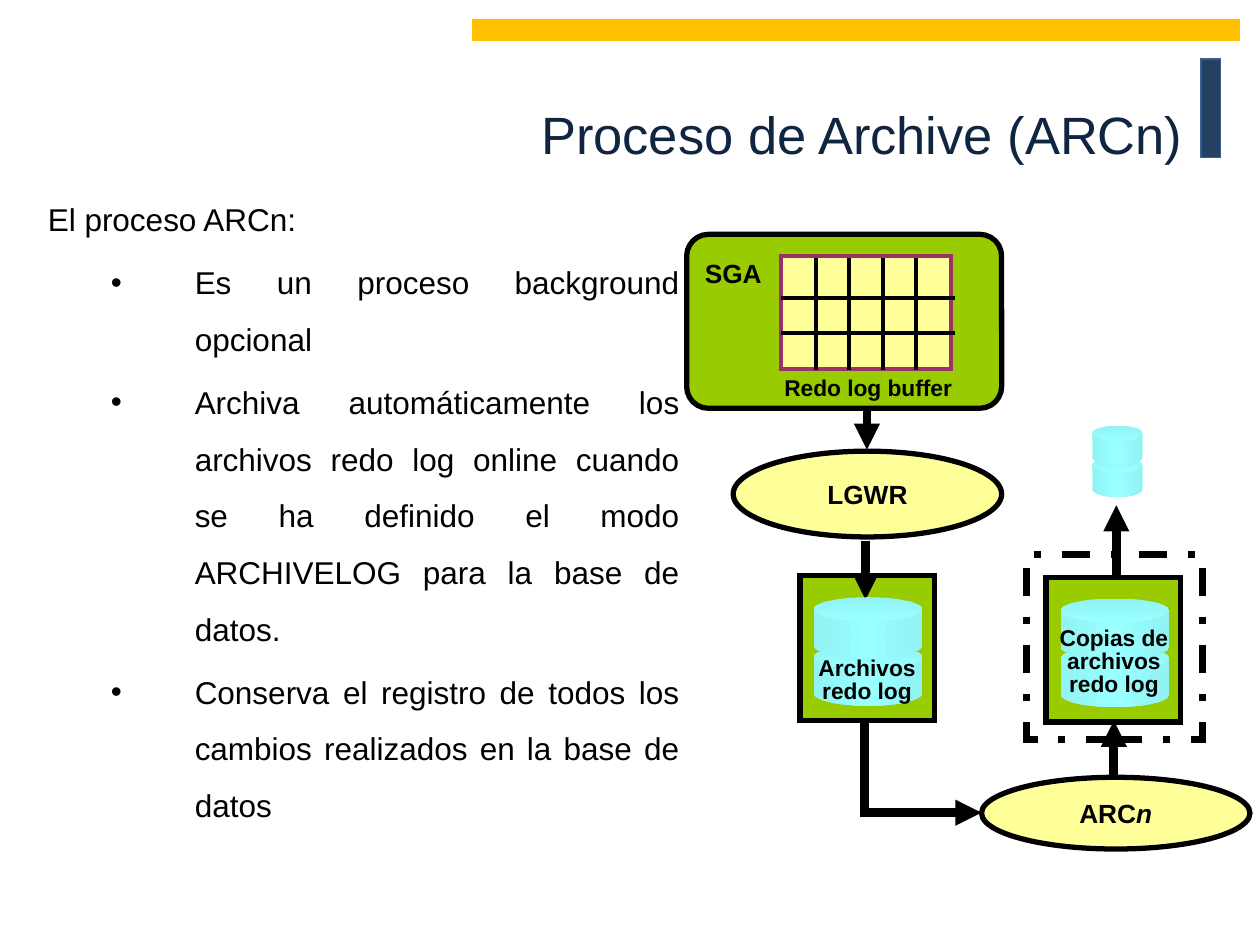
from pptx import Presentation
from pptx.dml.color import RGBColor as RGB
from pptx.enum.dml import MSO_LINE
from pptx.enum.shapes import MSO_CONNECTOR, MSO_SHAPE as SHAPE
from pptx.enum.text import MSO_ANCHOR as ANCHOR, PP_ALIGN as ALIGN
from pptx.oxml.ns import qn
from pptx.util import Pt
from lxml.etree import SubElement
from copy import deepcopy

COLORS = {
    "black": "000000", "title": "10253F", "navy": "254061", "blue": "376092",
    "amber": "FFC000", "green": "99CC00", "yellow": "FFFF99", "plum": "993366",
    "aqua": "99FFFF", "aqua_dark": "92F3F3",
}
BULLETS = [
    "Es un proceso background opcional",
    "Archiva automáticamente los archivos redo log online cuando se ha "
    "definido el modo ARCHIVELOG para la base de datos.",
    "Conserva el registro de todos los cambios realizados en la base de datos",
]


def rgb(name):
    return RGB.from_string(COLORS[name])


class Deck:
    """Holds the style and the slide being drawn; lengths are in points."""
    font = "Arial"

    def __init__(self, prs):
        self.s = prs.slides.add_slide(prs.slide_layouts[5])

    def format_runs(self, p, size, color="black", bold=False):
        for r in p.runs:
            r.font.name = self.font
            r.font.size = Pt(size)
            r.font.bold = bold
            r.font.color.rgb = rgb(color)

    def title(self, text, x, y, w, h):
        sp = self.s.shapes.title
        sp.left, sp.top, sp.width, sp.height = Pt(x), Pt(y), Pt(w), Pt(h)
        tf = sp.text_frame
        tf.text = text
        tf.vertical_anchor = ANCHOR.MIDDLE
        tf.paragraphs[0].alignment = ALIGN.RIGHT
        self.format_runs(tf.paragraphs[0], 30, "title")

    def body(self, intro, bullets, x, y, w, h):
        tf = self.s.shapes.add_textbox(Pt(x), Pt(y), Pt(w), Pt(h)).text_frame
        tf.word_wrap = True
        tf.text = "\n".join([intro, *bullets])
        for i, p in enumerate(tf.paragraphs):
            p.alignment = ALIGN.JUSTIFY
            p.line_spacing = 1.5
            if i:
                p.level = 1
                p.space_before = Pt(3.6)
                pPr = p._p.get_or_add_pPr()
                pPr.set("marL", str(Pt(84)))
                pPr.set("indent", str(Pt(-48)))
                SubElement(pPr, qn("a:buFont"), typeface=self.font)
                SubElement(pPr, qn("a:buChar"), char="•")
            self.format_runs(p, 18)

    def shape(self, kind, x, y, w, h, fill=None, line=None, width=3, dash=None):
        sp = self.s.shapes.add_shape(kind, Pt(x), Pt(y), Pt(w), Pt(h))
        sp.shadow.inherit = False
        if fill:
            sp.fill.solid()
            sp.fill.fore_color.rgb = rgb(fill)
        else:
            sp.fill.background()
        if line:
            sp.line.color.rgb = rgb(line)
            sp.line.width = Pt(width)
            if dash:
                sp.line.dash_style = dash
            if kind == SHAPE.RECTANGLE:
                SubElement(sp._element.spPr.find(qn("a:ln")), qn("a:miter"), lim="800000")
        else:
            sp.line.fill.background()
        return sp

    def gradient(self, sp, names, angle=0):
        """Fill a shape with two or three evenly spaced colours."""
        sp.fill.gradient()
        sp.fill.gradient_angle = angle
        stop_list = sp._element.spPr.find(".//" + qn("a:gsLst"))
        if len(names) == 3:
            stop_list.insert(1, deepcopy(stop_list[0]))
        for i, (stop, name) in enumerate(zip(sp.fill.gradient_stops, names)):
            stop.color.rgb = rgb(name)
            stop.position = i / (len(names) - 1)

    def cylinders(self, x, y, w, side, cap):
        """Two stacked drums, the lower one behind."""
        across = ["aqua_dark", "aqua", "aqua_dark"]
        for top in (y + 1.3 * side, y):
            wall = self.shape(SHAPE.RECTANGLE, x, top + cap / 2, w, side)
            self.gradient(wall, across)
            lid = self.shape(SHAPE.OVAL, x, top, w, cap)
            self.gradient(lid, across[:2], 270)
            base = self.shape(SHAPE.OVAL, x, top + side, w, cap)
            self.gradient(base, across)

    def line(self, x1, y1, x2, y2, width=5, arrow=False):
        c = self.s.shapes.add_connector(
            MSO_CONNECTOR.STRAIGHT, Pt(x1), Pt(y1), Pt(x2), Pt(y2))
        c.line.color.rgb = rgb("black")
        c.line.width = Pt(width)
        spPr = c._element.spPr
        if arrow:
            SubElement(spPr.find(qn("a:ln")), qn("a:tailEnd"), type="triangle")
        SubElement(spPr, qn("a:effectLst"))

    def label(self, text, x, y, w, h, size=13):
        tf = self.s.shapes.add_textbox(Pt(x), Pt(y), Pt(w), Pt(h)).text_frame
        tf.word_wrap = False
        self.centre(tf, text, size)
        return tf

    def drum_label(self, text, x, y, w, h):
        tf = self.label(text, x, y, w, h)
        tf.word_wrap = True
        tf.margin_left = tf.margin_right = Pt(4.3)
        tf.margin_top = tf.margin_bottom = Pt(2.2)
        for p in tf.paragraphs:
            p.line_spacing = 0.85

    def process(self, text, x, y, w, h, suffix=""):
        tf = self.shape(SHAPE.OVAL, x, y, w, h, "yellow", "black").text_frame
        tf.word_wrap = False
        tf.vertical_anchor = ANCHOR.MIDDLE
        self.centre(tf, text, 15)
        if suffix:
            p = tf.paragraphs[0]
            r = p.add_run()
            r.text = suffix
            self.format_runs(p, 15, bold=True)
            r.font.italic = True

    def centre(self, tf, text, size):
        tf.text = text
        for p in tf.paragraphs:
            p.alignment = ALIGN.CENTER
            self.format_runs(p, size, bold=True)

    def buffer(self, x, y, w, h):
        self.shape(SHAPE.RECTANGLE, x, y, w, h, "yellow", "plum", 2.25)
        for i in range(4):
            col = x + 20 + 19 * i
            self.line(col, y + 1.4, col, y + h + 0.7, 2.25)
        for j in range(2):
            row = y + 24 + 20 * j
            self.line(x, row, x + w + 2, row, 2.25)


def main():
    prs = Presentation()
    prs.slide_width, prs.slide_height = Pt(720), Pt(540)
    d = Deck(prs)

    d.shape(SHAPE.RECTANGLE, 686.2, 33.8, 11.2, 56.2, "navy", "blue", 0.75)
    d.shape(SHAPE.RECTANGLE, 270, 11.5, 438.5, 11.5, "amber", "amber", 0.75)
    d.title("Proceso de Archive (ARCn)", 48.2, 18.7, 635, 115.2)
    d.body("El proceso ARCn:", BULLETS, 20.2, 100.1, 375.1, 366.5)

    # Redo log files
    d.shape(SHAPE.RECTANGLE, 457.2, 329, 77, 82.8, "green", "black")
    d.line(495.4, 232.6, 495.4, 257, arrow=True)
    d.line(492.5, 464.4, 560.9, 464.4, arrow=True)
    d.line(494.6, 308.9, 494.6, 342.7, arrow=True)
    d.cylinders(465.1, 341.3, 61.9, 21, 13.7)
    d.drum_label("Archivos\nredo log", 455.8, 373.7, 79.2, 31)

    # Shared memory and log writer
    sga = d.shape(SHAPE.ROUNDED_RECTANGLE, 392.4, 133.9, 180, 99.4, "green", "black")
    sga.adjustments[0] = 0.125
    d.label("SGA", 395.3, 143.3, 47.5, 25.2, 15)
    d.buffer(446.4, 146.2, 97.2, 64.8)
    d.label("Redo log buffer", 439.9, 210.2, 112.3, 23)
    d.process("LGWR", 419, 257.8, 153.4, 49)

    # Archived copies
    d.line(637.9, 331.2, 637.9, 288.7, arrow=True)
    d.cylinders(624.2, 243.2, 28.8, 14, 8.6)
    d.process("ARC", 560.9, 444.2, 153.4, 41, suffix="n")
    d.shape(SHAPE.RECTANGLE, 597.8, 329.8, 77, 82.8, "green", "black")
    d.cylinders(606.2, 342, 61.9, 21, 13.7)
    d.drum_label("Copias de archivos\nredo log", 596.9, 356.4, 79.2, 44.6)
    d.shape(SHAPE.RECTANGLE, 586.8, 316.8, 100.1, 105.8, None, "black", 4,
            MSO_LINE.DASH_DOT)
    d.line(636.5, 445.7, 636.5, 411.8, arrow=True)
    d.line(494, 412.6, 494, 466.6)

    prs.save("out.pptx")


if __name__ == "__main__":
    main()
